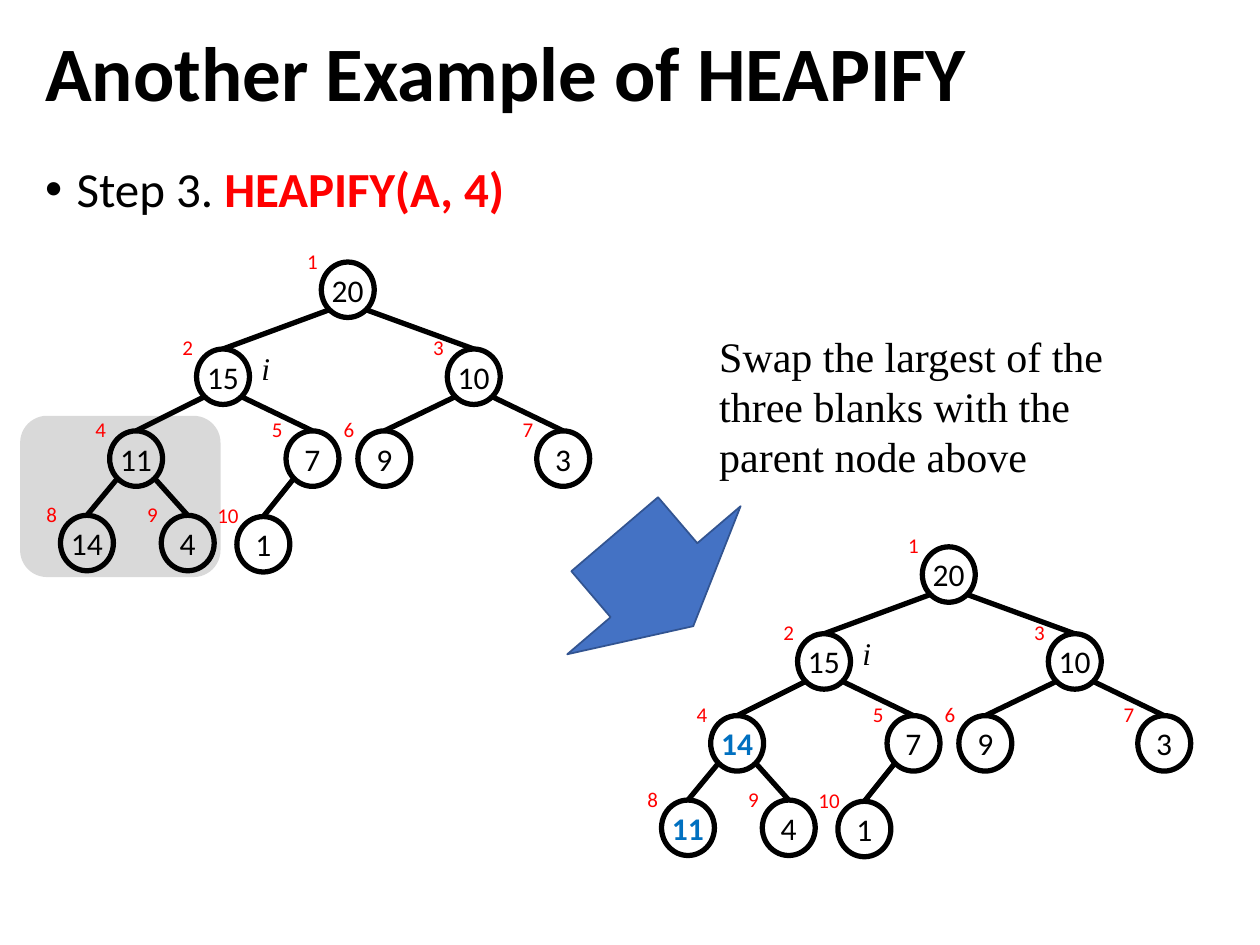
from lxml import etree
from pptx import Presentation
from pptx.dml.color import RGBColor
from pptx.enum.shapes import MSO_CONNECTOR, MSO_SHAPE
from pptx.enum.text import MSO_ANCHOR, MSO_AUTO_SIZE, PP_ALIGN
from pptx.oxml.ns import qn
from pptx.util import Inches, Pt

STRAIGHT = MSO_CONNECTOR.STRAIGHT
ELLIPSE = MSO_SHAPE.OVAL
ROUNDED = MSO_SHAPE.ROUNDED_RECTANGLE
ARROW = MSO_SHAPE.RIGHT_ARROW
MIDDLE, TOP = MSO_ANCHOR.MIDDLE, MSO_ANCHOR.TOP
FIT_SHAPE, NO_FIT = MSO_AUTO_SIZE.SHAPE_TO_FIT_TEXT, MSO_AUTO_SIZE.NONE
LEFT, CENTER = PP_ALIGN.LEFT, PP_ALIGN.CENTER

BLACK = RGBColor(0x00, 0x00, 0x00)
RED = RGBColor(0xFF, 0x00, 0x00)
GRAY = RGBColor(0xD9, 0xD9, 0xD9)
BLUE = RGBColor(0x44, 0x72, 0xC4)
DARK_BLUE = RGBColor(0x32, 0x54, 0x91)
CHANGED = RGBColor(0x00, 0x70, 0xC0)
SANS, SERIF = "Calibri", "Times New Roman"

NODE_WIDTH, NODE_HEIGHT = 0.42, 0.44
NODE_PLACES = [
    (2.55, 2.08), (1.56, 2.77), (3.55, 2.77), (0.87, 3.42), (2.27, 3.42),
    (2.84, 3.42), (4.26, 3.42), (0.48, 4.09), (1.28, 4.09), (1.88, 4.10),
]
BEFORE = [20, 15, 10, 11, 7, 9, 3, 14, 4, 1]
AFTER = [20, 15, 10, 14, 7, 9, 3, 11, 4, 1]


class HeapSlide:
    """Draws the heap diagrams and text of one slide in a shared style."""

    def __init__(self, presentation):
        self.slide = presentation.slides.add_slide(presentation.slide_layouts[5])
        self.shapes = self.slide.shapes

    def style_run(self, run, size, color=BLACK, font=SANS, bold=False, italic=False):
        run.font.name, run.font.size = font, Pt(size)
        run.font.color.rgb = color
        run.font.bold, run.font.italic = bold, italic

    def title(self, text, left, top, width, height):
        shape = self.shapes.title
        shape.left, shape.top = Inches(left), Inches(top)
        shape.width, shape.height = Inches(width), Inches(height)
        frame = shape.text_frame
        frame.text = text
        frame.vertical_anchor, frame.auto_size = MIDDLE, NO_FIT
        paragraph = frame.paragraphs[0]
        paragraph.alignment, paragraph.line_spacing = LEFT, 0.9
        self.style_run(paragraph.runs[0], 44, bold=True)

    def text_box(self, left, top, width, height, wrap=True, fit=FIT_SHAPE):
        box = self.shapes.add_textbox(
            Inches(left), Inches(top), Inches(width), Inches(height))
        frame = box.text_frame
        frame.word_wrap, frame.auto_size = wrap, fit
        frame.vertical_anchor = TOP
        return frame

    def bullet(self, parts, left, top, width, height):
        frame = self.text_box(left, top, width, height, fit=NO_FIT)
        paragraph = frame.paragraphs[0]
        properties = paragraph._p.get_or_add_pPr()
        properties.set("marL", str(Inches(0.25)))
        properties.set("indent", str(-Inches(0.25)))
        etree.SubElement(properties, qn("a:buFont")).set("typeface", "Arial")
        etree.SubElement(properties, qn("a:buChar")).set("char", "•")
        paragraph.line_spacing = 0.9
        for text, color, bold in parts:
            run = paragraph.add_run()
            run.text = text
            self.style_run(run, 28, color, bold=bold)

    def note(self, text, left, top, width, height):
        frame = self.text_box(left, top, width, height)
        frame.text = text
        self.style_run(frame.paragraphs[0].runs[0], 24, font=SERIF)

    def label(self, text, center, top, width, height, size, **style):
        frame = self.text_box(center - width / 2, top, width, height, wrap=False)
        frame.text = text
        paragraph = frame.paragraphs[0]
        paragraph.alignment = CENTER
        self.style_run(paragraph.runs[0], size, **style)

    def shape(self, kind, left, top, width, height, fill=None, line=None, weight=1):
        shape = self.shapes.add_shape(
            kind, Inches(left), Inches(top), Inches(width), Inches(height))
        shape.shadow.inherit = False
        if fill is None:
            shape.fill.background()
        else:
            shape.fill.solid()
            shape.fill.fore_color.rgb = fill
        if line is None:
            shape.line.fill.background()
        else:
            shape.line.color.rgb, shape.line.width = line, Pt(weight)
        return shape

    def edge(self, start, end):
        points = [Inches(value) for value in (*start, *end)]
        connector = self.shapes.add_connector(STRAIGHT, *points)
        connector.line.color.rgb, connector.line.width = BLACK, Pt(3)
        etree.SubElement(connector._element.spPr, qn("a:effectLst"))

    def node(self, index, value, left, top, changed):
        center = left + NODE_WIDTH / 2
        self.shape(ELLIPSE, left, top, NODE_WIDTH, NODE_HEIGHT, line=BLACK, weight=3)
        self.label(str(value), center, top + 0.02, 0.46 if value > 9 else 0.33, 0.4, 18,
                   color=CHANGED if changed else BLACK, bold=changed)
        self.label(str(index), left - 0.07, top - 0.16,
                   0.37 if index > 9 else 0.29, 0.3, 12, color=RED)

    def heap(self, values, shift_x=0, shift_y=0, changed=()):
        places = [(x + shift_x, y + shift_y) for x, y in NODE_PLACES]
        for index in range(2, len(places) + 1):
            parent_left, parent_top = places[index // 2 - 1]
            left, top = places[index - 1]
            side = 0.36 if index % 2 else 0.06
            self.edge((parent_left + side, parent_top + 0.38),
                      (left + NODE_WIDTH / 2, top))
        for index, (value, place) in enumerate(zip(values, places), start=1):
            self.node(index, value, *place, index in changed)
        left, top = places[1]
        self.label("i", left + 0.55, top - 0.05, 0.27, 0.4, 18, font=SERIF, italic=True)


def main():
    presentation = Presentation()
    presentation.slide_width, presentation.slide_height = Inches(10), Inches(7.5)
    slide = HeapSlide(presentation)
    slide.shape(ROUNDED, 0.16, 3.3, 1.59, 1.28, fill=GRAY)
    slide.title("Another Example of HEAPIFY", 0.26, 0.15, 9.47, 0.92)
    slide.bullet([("Step 3. ", BLACK, False), ("HEAPIFY(A, 4)", RED, True)],
                 0.26, 1.26, 9.47, 5.97)
    slide.heap(BEFORE)
    slide.heap(AFTER, 4.77, 2.26, changed=(4, 8))
    slide.note("Swap the largest of the three blanks with the parent node above",
               5.61, 2.57, 3.4, 1.31)
    arrow = slide.shape(ARROW, 4.71, 3.7, 0.96, 1.81, fill=BLUE, line=DARK_BLUE)
    arrow.rotation = 49.5
    presentation.save("out.pptx")


if __name__ == "__main__":
    main()
